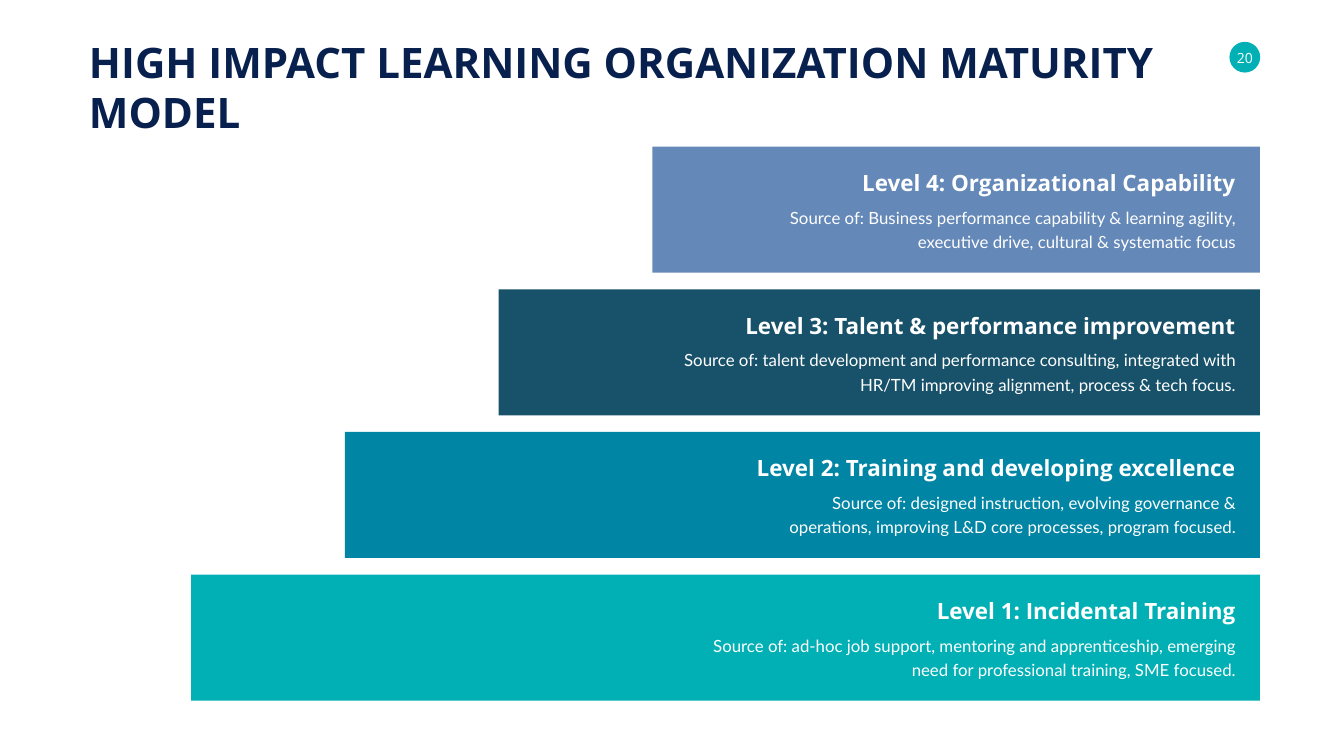
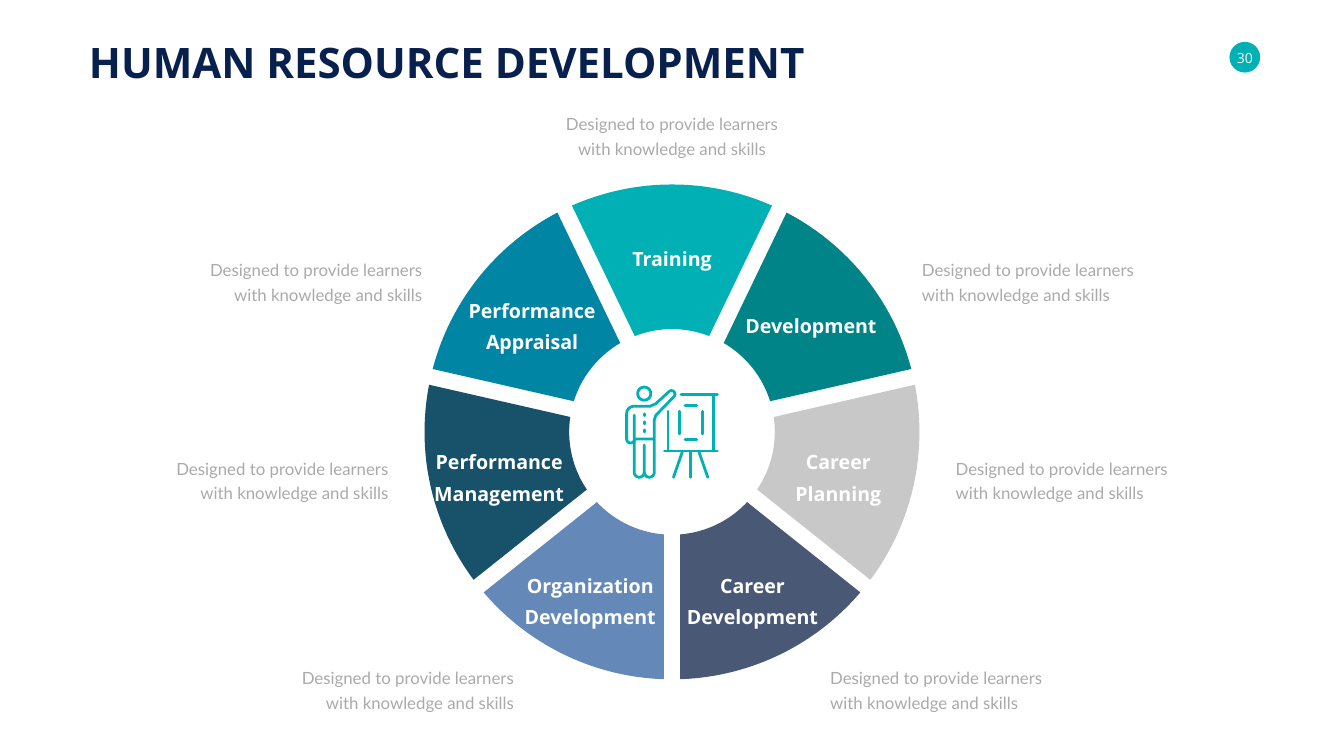
from math import asin, cos, pi, radians, sin

from lxml.etree import SubElement
from pptx import Presentation
from pptx.dml.color import RGBColor
from pptx.enum.shapes import MSO_SHAPE
from pptx.enum.text import MSO_ANCHOR, MSO_AUTO_SIZE, PP_ALIGN
from pptx.oxml.ns import qn
from pptx.util import Inches, Pt

COLORS = {
    "navy": "08204D",
    "teal": "00B0B5",
    "deep teal": "008488",
    "blue": "0085A4",
    "petrol": "18526A",
    "periwinkle": "6488B7",
    "slate": "495975",
    "silver": "C7C8C7",
    "gray": "AAAAAA",
    "white": "FFFFFF",
}
HEADING, BODY = "Open Sans", "Lato"
COLUMNS, ROWS = 80, 45
MARGIN = 5
RIGHT = COLUMNS - MARGIN
LEFT_ALIGN, CENTER, RIGHT_ALIGN = PP_ALIGN.LEFT, PP_ALIGN.CENTER, PP_ALIGN.RIGHT

# title, title width, source, source width, color; from the top step down
LEVELS = [
    ("Level 4: Organizational Capability", 23.05,
     "Source of: Business performance capability & learning agility, "
     "executive drive, cultural & systematic focus", 29.44, "periwinkle"),
    ("Level 3: Talent & performance improvement", 30.04,
     "Source of: talent development and performance consulting, "
     "integrated with HR/TM improving alignment, process & tech focus.",
     34.66, "petrol"),
    ("Level 2: Training and developing excellence", 29.38,
     "Source of: designed instruction, evolving governance & operations, "
     "improving L&D core processes, program focused.", 29.44, "blue"),
    ("Level 1: Incidental Training", 18.55,
     "Source of: ad-hoc job support, mentoring and apprenticeship, emerging "
     "need for professional training, SME focused.", 33.85, "teal"),
]

# label lines, color, label (offset from center, middle row, width),
# caption (offset from center, top row); clockwise from the bottom
SEGMENTS = [
    (["Organization", "Development"], "periwinkle",
     (-4.87, 35.54, 8.49), (-16.14, 39.42)),
    (["Performance", "Management"], "petrol",
     (-10.29, 28.19, 8.4), (-23.61, 26.94)),
    (["Performance", "Appraisal"], "blue",
     (-8.33, 19.19, 8.25), (-21.6, 15.12)),
    (["Training"], "teal", (0, 15.15, 5.37), (0, 6.45)),
    (["Development"], "deep teal", (8.27, 19.17, 8.49), (21.6, 15.12)),
    (["Career", "Planning"], "silver", (9.9, 28.19, 5.76), (23.61, 26.94)),
    (["Career", "Development"], "slate",
     (4.79, 35.54, 8.49), (16.14, 39.42)),
]
CAPTION = "Designed to provide learners with knowledge and skills"
CAPTION_WIDTH = 14.04
HUB = (40, 25.71)
OUTER, INNER, HALF_GAP = 14.73, 6.12, 0.48


def arc(center, radius, start, end, steps=24):
    """Points along a circle; angles in degrees, clockwise from the right."""
    angles = [radians(start + (end - start) * i / steps)
              for i in range(steps + 1)]
    return [(center[0] + radius * cos(a), center[1] + radius * sin(a))
            for a in angles]


def ring_segment(start, end):
    """Outline of a wheel part whose sides run parallel to its neighbours."""
    outer_trim, inner_trim = (asin(HALF_GAP / radius) * 180 / pi
                              for radius in (OUTER, INNER))
    return (arc(HUB, OUTER, start + outer_trim, end - outer_trim)
            + arc(HUB, INNER, end - inner_trim, start + inner_trim))


def trainer_strokes():
    """Pen strokes of a trainer at a flip chart, in inches."""
    head = arc((12.78, 7.81), 0.13, 0, 360)
    left_leg = ([(12.58, 8.24)] + arc((12.68, 9.37), 0.1, 180, 0, 8)
                + [(12.78, 8.83)])
    body = (arc((12.88, 9.37), 0.1, 180, 0, 8)
            + [(12.98, 8.33), (13.01, 8.24)]
            + arc((13.32, 7.82), 0.07, 45, -135, 8)
            + [(13.01, 8.01), (12.9, 8.06)]
            + arc((12.58, 8.21), 0.15, 270, 180, 8)
            + arc((12.51, 8.71), 0.08, 180, 0, 8) + [(12.98, 8.71)])
    buttons = [[(12.78, y), (12.78, y + 0.04)] for y in (8.21, 8.37, 8.53)]
    board = [
        [(13.51, 7.83), (14.23, 7.83)],
        [(14.16, 7.83), (14.16, 8.95)],
        [(13.25, 8.16), (13.25, 8.95)],
        [(13.18, 8.95), (14.23, 8.95)],
    ]
    stand = [[(13.7 + 0.16 * side, 8.95), (13.7 + 0.34 * side, 9.47)]
             for side in (-1, 0, 1)]
    marks = ([[(13.59, y), (13.82, y)] for y in (8.05, 8.72)]
             + [[(x, 8.16), (x, 8.61)] for x in (13.48, 13.93)])
    return [head, left_leg, body, *buttons, *board, *stand, *marks]


class Deck:
    def __init__(self):
        self.presentation = Presentation()
        self.presentation.slide_width = Inches(26.66)
        self.presentation.slide_height = Inches(15)
        self.column = self.presentation.slide_width / COLUMNS
        self.row = self.presentation.slide_height / ROWS
        self.slide = None

    def place(self, left, top, width, height):
        return (round(left * self.column), round(top * self.row),
                round(width * self.column), round(height * self.row))

    def add_slide(self, title_lines, title_width, number):
        layout = self.presentation.slide_layouts[6]
        self.slide = self.presentation.slides.add_slide(layout)
        self.block(73.18, 2.49, 1.83, 1.83, "teal", MSO_SHAPE.OVAL)
        self.text([number], 73.58, 2.91, 1.05, 1.02, 20, align=CENTER,
                  anchor=MSO_ANCHOR.MIDDLE, inset=False)
        self.text(title_lines, MARGIN, 2, title_width,
                  3.33 if len(title_lines) == 1 else 6.36,
                  60, "navy", bold=True)

    def paint(self, shape, color):
        shape.shadow.inherit = False
        shape.fill.solid()
        shape.fill.fore_color.rgb = RGBColor.from_string(COLORS[color])
        shape.line.fill.background()

    def block(self, left, top, width, height, color, kind=MSO_SHAPE.RECTANGLE):
        shape = self.slide.shapes.add_shape(
            kind, *self.place(left, top, width, height))
        self.paint(shape, color)

    def outline(self, points, color):
        corners = [(x * self.column, y * self.row) for x, y in points]
        builder = self.slide.shapes.build_freeform(*corners[0])
        builder.add_line_segments(corners[1:], close=True)
        self.paint(builder.convert_to_shape(), color)

    def drawing(self, strokes, color, weight):
        """Draw open strokes, in inches, as one line shape with round ends."""
        builder = None
        for stroke in strokes:
            points = [(Inches(x), Inches(y)) for x, y in stroke]
            if builder is None:
                builder = self.slide.shapes.build_freeform(*points[0])
            else:
                builder.move_to(*points[0])
            builder.add_line_segments(points[1:], close=False)
        shape = builder.convert_to_shape()
        shape.shadow.inherit = False
        shape.fill.background()
        shape.line.color.rgb = RGBColor.from_string(COLORS[color])
        shape.line.width = Pt(weight)
        line = shape.line._get_or_add_ln()
        line.set("cap", "rnd")
        SubElement(line, qn("a:round"))

    def text(self, lines, left, top, width, height, size, color="white",
             font=HEADING, bold=False, align=LEFT_ALIGN,
             anchor=MSO_ANCHOR.TOP, spacing=None, wrap=False, inset=True):
        box = self.slide.shapes.add_textbox(
            *self.place(left, top, width, height))
        frame = box.text_frame
        frame.word_wrap = wrap
        frame.auto_size = MSO_AUTO_SIZE.SHAPE_TO_FIT_TEXT
        frame.vertical_anchor = anchor
        if not inset:
            frame.margin_left = frame.margin_right = 0
            frame.margin_top = frame.margin_bottom = 0
        frame.text = "\n".join(lines)
        for paragraph in frame.paragraphs:
            paragraph.alignment = align
            if spacing:
                paragraph.line_spacing = Pt(spacing)
            paragraph.font.name = font
            paragraph.font.size = Pt(size)
            paragraph.font.bold = bold
            paragraph.font.color.rgb = RGBColor.from_string(COLORS[color])

    def body(self, words, left, top, width, color, align,
             anchor=MSO_ANCHOR.TOP):
        self.text([words], left, top, width, 3.09, 24, color, BODY,
                  align=align, anchor=anchor, spacing=35, wrap=True)


def add_maturity_model(deck):
    deck.add_slide(["HIGH IMPACT LEARNING ORGANIZATION MATURITY", "MODEL"],
                   64.61, "20")
    text_right = 73.85
    for step, (title, title_width, source, source_width, color) in enumerate(LEVELS):
        left, top = 38.83 - 9.15 * step, 8.73 + 8.49 * step
        deck.block(left, top, RIGHT - left, 7.5, color)
        deck.text([title], text_right - title_width, top + 0.87, title_width,
                  2.22, 32, bold=True, align=RIGHT_ALIGN,
                  anchor=MSO_ANCHOR.BOTTOM, spacing=50)
        deck.body(source, text_right - source_width, top + 3.21,
                  source_width, "white", RIGHT_ALIGN)


def add_development_wheel(deck):
    deck.add_slide(["HUMAN RESOURCE DEVELOPMENT"], 43.63, "30")
    sweep = 360 / len(SEGMENTS)
    for index, (lines, color, label, caption) in enumerate(SEGMENTS):
        start = 90 + sweep * index
        deck.outline(ring_segment(start, start + sweep), color)
        offset, middle, width = label
        height = 0.15 + 1.89 * len(lines)
        deck.text(lines, HUB[0] + offset - width / 2, middle - height / 2,
                  width, height, 28, bold=True, align=CENTER,
                  anchor=MSO_ANCHOR.MIDDLE, spacing=45)
        offset, top = caption
        align = (CENTER if offset == 0
                 else LEFT_ALIGN if offset > 0 else RIGHT_ALIGN)
        deck.body(CAPTION, HUB[0] + offset - CAPTION_WIDTH / 2, top,
                  CAPTION_WIDTH, "gray", align, MSO_ANCHOR.MIDDLE)
    deck.drawing(trainer_strokes(), "teal", 4)


def main():
    deck = Deck()
    add_maturity_model(deck)
    add_development_wheel(deck)
    deck.presentation.save("out.pptx")


if __name__ == "__main__":
    main()
